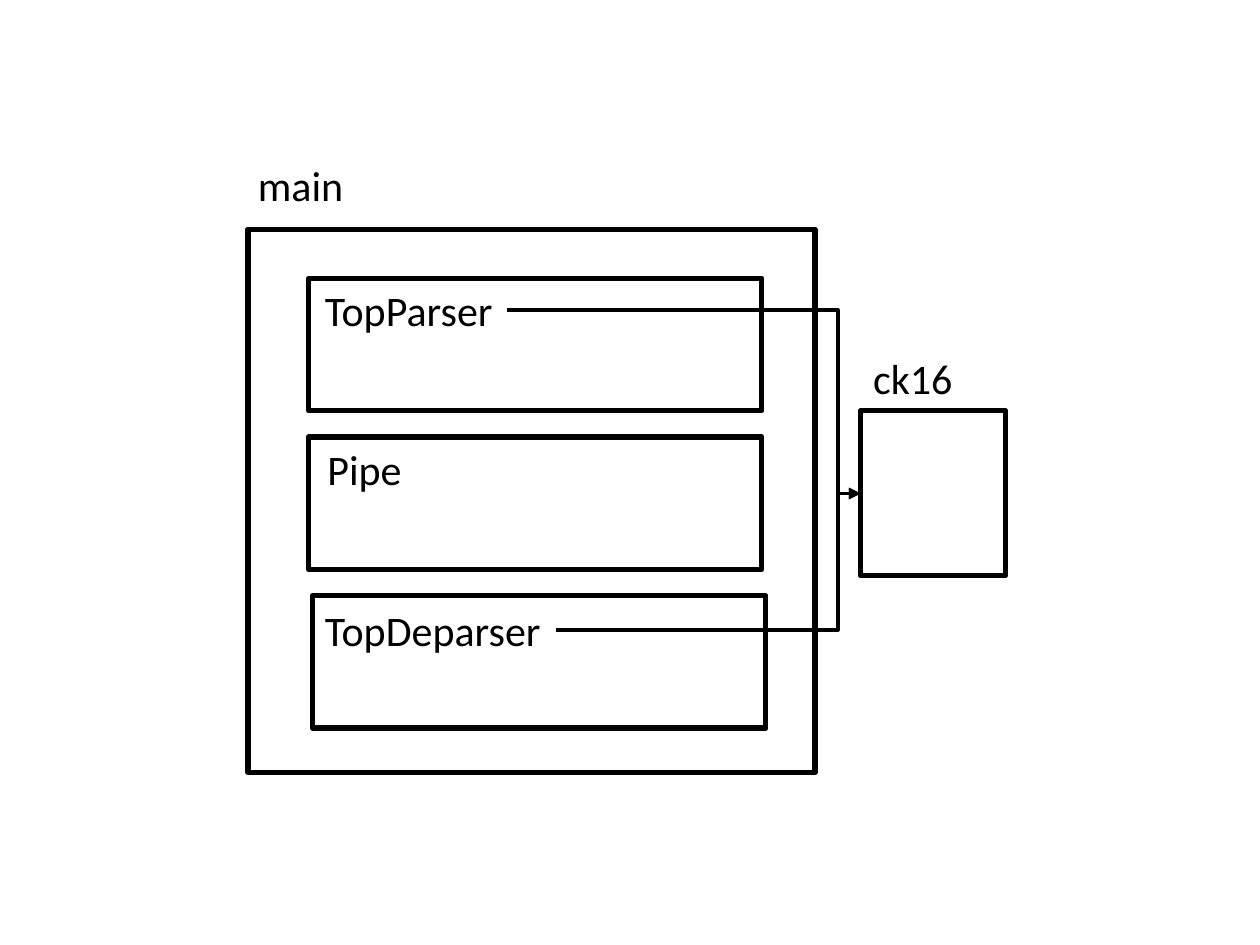
"""Draw the main block, its three stages and their links to ck16."""
from lxml import etree
from pptx import Presentation
from pptx.dml.color import RGBColor
from pptx.enum.shapes import MSO_CONNECTOR, MSO_SHAPE
from pptx.enum.text import MSO_AUTO_SIZE
from pptx.oxml.ns import qn
from pptx.util import Cm, Pt

RECT = MSO_SHAPE.RECTANGLE
ELBOW = MSO_CONNECTOR.ELBOW
FIT = MSO_AUTO_SIZE.SHAPE_TO_FIT_TEXT
BLACK = "000000"


def paint(fill, color):
    fill.solid()
    fill.fore_color.rgb = RGBColor.from_string(color)


def label(text, x, y, w, h=1.27, size=24, font="Calibri", color=BLACK):
    frame = slide.shapes.add_textbox(Cm(x), Cm(y), Cm(w), Cm(h)).text_frame
    frame.word_wrap = False
    frame.auto_size = FIT
    run = frame.paragraphs[0].add_run()
    run.text = text
    run.font.size = Pt(size)
    run.font.name = font
    paint(run.font.fill, color)


deck = Presentation()
deck.slide_width, deck.slide_height = Cm(25.4), Cm(19.05)
slide = deck.slides.add_slide(deck.slide_layouts[6])

top, step = 5.61, 3.2
boxes = [(5, 4.62, 11.43, 10.95), (17.35, 8.28, 2.92, 3.33)]
boxes += [(x, top + i * step, 9.14, 2.67) for i, x in enumerate((6.22, 6.22, 6.3))]
for box in boxes:
    rect = slide.shapes.add_shape(RECT, *map(Cm, box))
    rect.shadow.inherit = False
    rect.fill.background()
    paint(rect.line.fill, BLACK)
    rect.line.width = Pt(3)

label("main", 4.95, 3.1, 2.26)
label("TopParser", 6.3, 5.61, 3.94)
label("Pipe", 6.35, 8.81, 2.03)
label("TopDeparser", 6.3, 12.07, 4.9)
label("ck16", 17.35, 6.99, 2.13)

bend, end, mid = 16.89, 17.35, 9.95
for x, y in ((10.22, 6.25), (11.2, 12.7)):
    link = slide.shapes.add_connector(ELBOW, Cm(x), Cm(y), Cm(end), Cm(mid))
    paint(link.line.fill, BLACK)
    link.line.width = Pt(2.25)
    props = link._element.spPr
    ratio = round((bend - x) / (end - x) * 100000)
    guides = props.find(qn("a:prstGeom")).find(qn("a:avLst"))
    etree.SubElement(guides, qn("a:gd"), name="adj1", fmla=f"val {ratio}")
    etree.SubElement(props.find(qn("a:ln")), qn("a:tailEnd"), type="triangle")
    etree.SubElement(props, qn("a:effectLst"))

deck.save("out.pptx")
